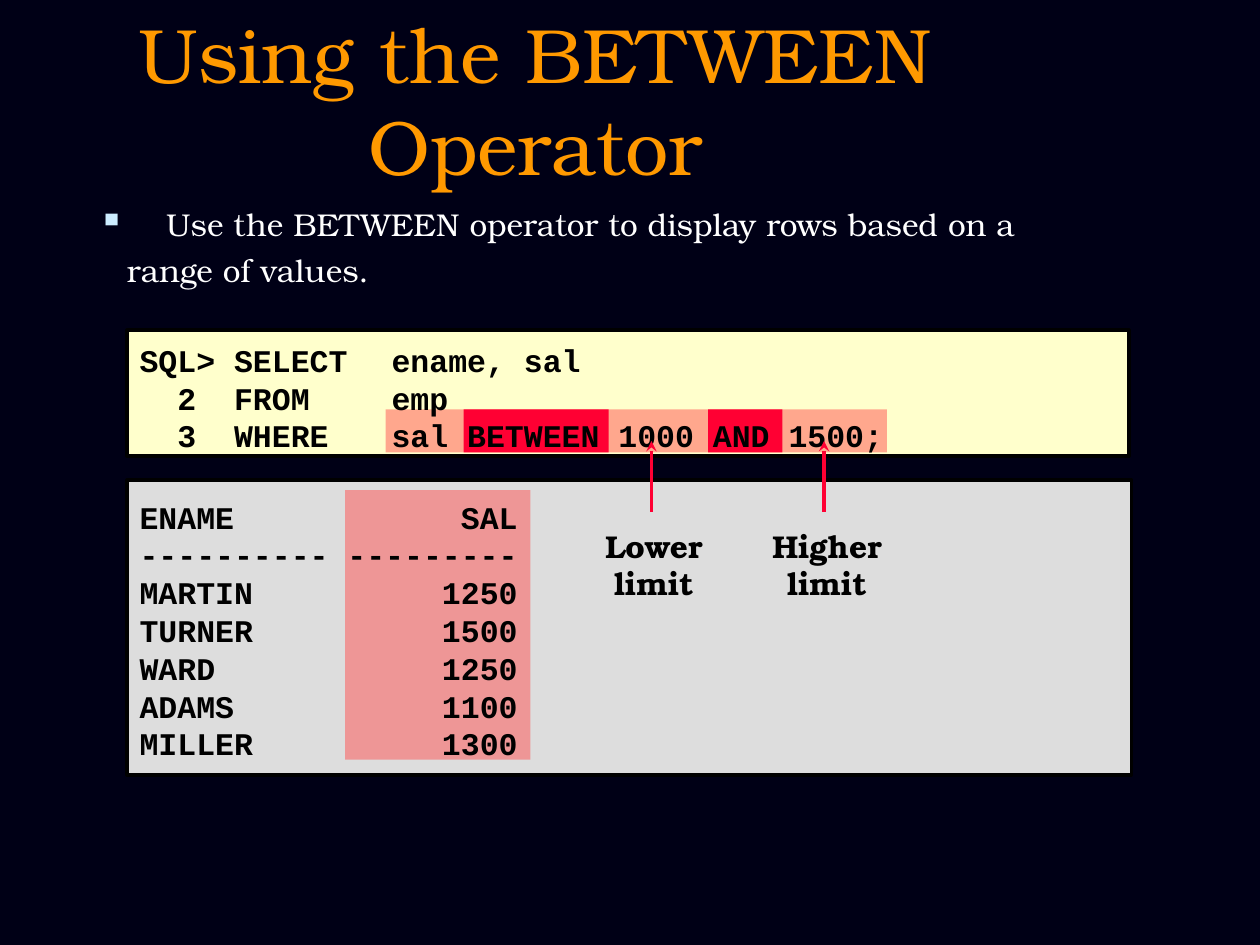
from typing import NamedTuple, Optional

from lxml.etree import SubElement
from pptx import Presentation
from pptx.dml.color import RGBColor
from pptx.enum.shapes import MSO_CONNECTOR as Connector, MSO_SHAPE as Preset
from pptx.enum.text import MSO_ANCHOR as Anchor, PP_ALIGN as Align
from pptx.oxml.ns import qn
from pptx.util import Inches, Pt

COLUMNS, ROWS = 100, 75
SERIF, MONO = "TeX Gyre Bonum", "Courier New"
BLACK, RED, SALMON = "000000", "FF0033", "FF5050"

deck = Presentation()
deck.slide_width, deck.slide_height = Inches(10), Inches(7.5)
slide = deck.slides.add_slide(deck.slide_layouts[5])


class Area(NamedTuple):
    left: float
    top: float
    width: float
    height: float


class Block(NamedTuple):
    area: Area
    fill: str
    border: Optional[str] = None
    opacity: int = 100


class Limit(NamedTuple):
    label: str
    area: Area
    arrow_column: float


def across(columns: float) -> int:
    """Turn grid columns into a length."""
    return round(deck.slide_width * columns / COLUMNS)


def down(rows: float) -> int:
    """Turn grid rows into a length."""
    return round(deck.slide_height * rows / ROWS)


def place(area: Area) -> tuple[int, int, int, int]:
    """Give an area's left, top, width and height as lengths."""
    return across(area.left), down(area.top), across(area.width), down(area.height)


def paint(color_format, color: str) -> None:
    """Apply a hex colour."""
    color_format.rgb = RGBColor.from_string(color)


def assign(target, values: dict) -> None:
    """Set each attribute named in a dict of format values."""
    for name, value in values.items():
        setattr(target, name, value)


def draw_block(block: Block) -> None:
    """Draw a filled rectangle with an optional border and opacity."""
    panel = slide.shapes.add_shape(Preset.RECTANGLE, *place(block.area))
    panel.shadow.inherit = False
    panel.fill.solid()
    paint(panel.fill.fore_color, block.fill)
    if block.opacity < 100:
        color = panel.fill._xPr.find(qn("a:solidFill"))[0]
        SubElement(color, qn("a:alpha")).set("val", str(block.opacity * 1000))
    if block.border:
        paint(panel.line.color, block.border)
        panel.line.width = Pt(2)
    else:
        panel.line.fill.background()


def write(frame, lines: list[str], color: str, font: dict, layout: dict,
          anchor=Anchor.TOP, wrap: bool = True) -> list:
    """Fill a text frame with one paragraph per line."""
    assign(frame, {"word_wrap": wrap, "vertical_anchor": anchor,
                   "margin_left": Inches(0.1), "margin_right": Inches(0.1),
                   "margin_top": Inches(0.05), "margin_bottom": Inches(0.05)})
    frame.text = "\n".join(lines)
    for paragraph in frame.paragraphs:
        assign(paragraph, layout)
        for run in paragraph.runs:
            assign(run.font, font)
            paint(run.font.color, color)
    return list(frame.paragraphs)


def write_listing(area: Area, lines: list[str], tab: float, side: str) -> None:
    """Write monospaced lines whose second column sits on a tab stop."""
    frame = slide.shapes.add_textbox(*place(area)).text_frame
    paragraphs = write(frame, lines, BLACK, {"name": MONO, "size": Pt(18), "bold": True},
                       {"line_spacing": Pt(21.6)}, Anchor.MIDDLE)
    for paragraph in paragraphs:
        stops = SubElement(paragraph._p.get_or_add_pPr(), qn("a:tabLst"))
        stop = SubElement(stops, qn("a:tab"))
        stop.set("pos", str(Inches(tab)))
        stop.set("algn", side)


def draw_limit(limit: Limit) -> None:
    """Draw a limit's label and the arrow up to its value."""
    frame = slide.shapes.add_textbox(*place(limit.area)).text_frame
    write(frame, [limit.label], BLACK, {"name": SERIF, "size": Pt(18), "bold": True},
          {"alignment": Align.CENTER}, wrap=False)
    x = across(limit.arrow_column)
    arrow = slide.shapes.add_connector(Connector.STRAIGHT, x, down(35), x, down(40.6))
    paint(arrow.line.color, RED)
    arrow.line.width = Pt(2)
    SubElement(arrow.line._get_or_add_ln(), qn("a:headEnd")).set("type", "stealth")
    SubElement(arrow._element.spPr, qn("a:effectLst"))


def write_intro(area: Area) -> None:
    """Write the bulleted sentence and its continuation line."""
    frame = slide.shapes.add_textbox(*place(area)).text_frame
    first, second = write(
        frame,
        ["Use the BETWEEN operator to display rows based on a", "range of values."],
        "FFFFFF", {"name": SERIF, "size": Pt(18)}, {})
    second.space_before = Pt(4.5)
    second._p.get_or_add_pPr().set("marL", str(Inches(0.33)))
    bullet = first._p.get_or_add_pPr()
    bullet.set("marL", str(Inches(0.64)))
    bullet.set("indent", str(Inches(-0.54)))
    SubElement(SubElement(bullet, qn("a:buClr")), qn("a:srgbClr")).set("val", "CCECFF")
    SubElement(bullet, qn("a:buSzPct")).set("val", "115000")
    SubElement(bullet, qn("a:buChar")).set("char", "▪")


QUERY = ["SQL> SELECT\tename, sal", "  2  FROM\temp",
         "  3  WHERE\tsal BETWEEN 1000 AND 1500;"]
SALARIES = {"ENAME": "SAL", "-" * 10: "-" * 9, "MARTIN": "1250", "TURNER": "1500",
            "WARD": "1250", "ADAMS": "1100", "MILLER": "1300"}
PANELS = [
    Block(Area(10.1, 26.2, 79.5, 10), "FFFFCC", BLACK),
    Block(Area(10.1, 38.1, 79.7, 23.4), "DDDDDD", BLACK),
]
HIGHLIGHTS = [
    Block(Area(30.6, 32.5, 39.8, 3.4), SALMON, opacity=50),
    Block(Area(27.4, 38.9, 14.7, 21.4), SALMON, opacity=50),
]
KEYWORDS = [Block(Area(left, 32.5, width, 3.4), RED)
            for left, width in ((36.8, 11.5), (56.2, 5.9))]
LIMITS = [
    Limit("Lower\vlimit", Area(47, 41.3, 9.8, 7), 51.7),
    Limit("Higher\vlimit", Area(60.3, 41.3, 10.7, 7), 65.4),
]


def main() -> None:
    """Build the slide and save it."""
    slide.background.fill.solid()
    paint(slide.background.fill.fore_color, "000016")
    title = slide.shapes.title
    assign(title, dict(zip(("left", "top", "width", "height"), place(Area(0, 0, 85, 7.5)))))
    write(title.text_frame, ["Using the BETWEEN Operator"], "FF9900",
          {"name": SERIF, "size": Pt(44)}, {"alignment": Align.CENTER})
    for block in PANELS + HIGHLIGHTS + KEYWORDS:
        draw_block(block)
    write_listing(Area(10.1, 38.3, 79.7, 23.4),
                  [f"{name}\t{salary}" for name, salary in SALARIES.items()], 3, "r")
    write_listing(Area(10.1, 26.4, 79.7, 10.3), QUERY, 2, "l")
    for limit in LIMITS:
        draw_limit(limit)
    write_intro(Area(5.8, 15.8, 80.3, 7.6))
    deck.save("out.pptx")


if __name__ == "__main__":
    main()
